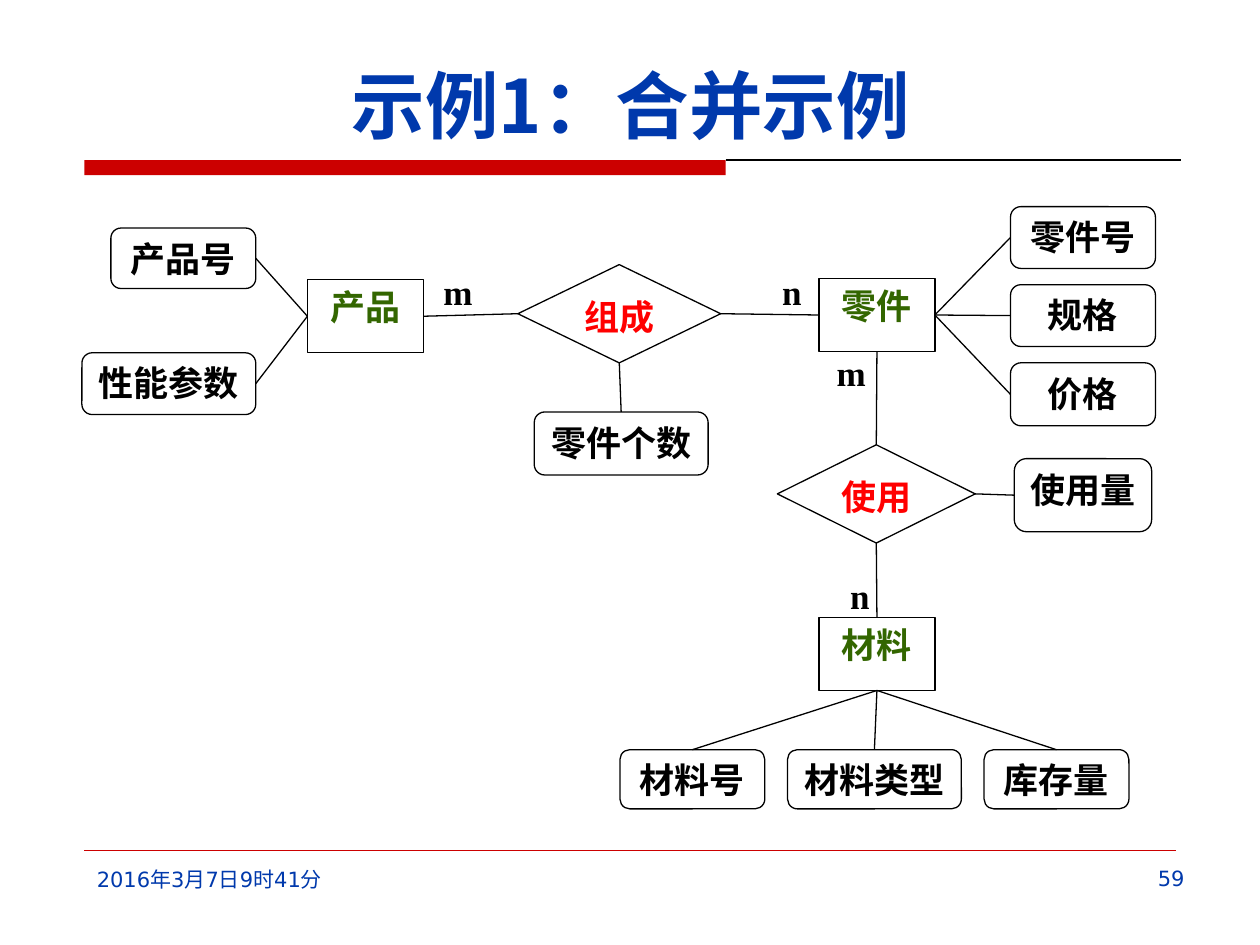
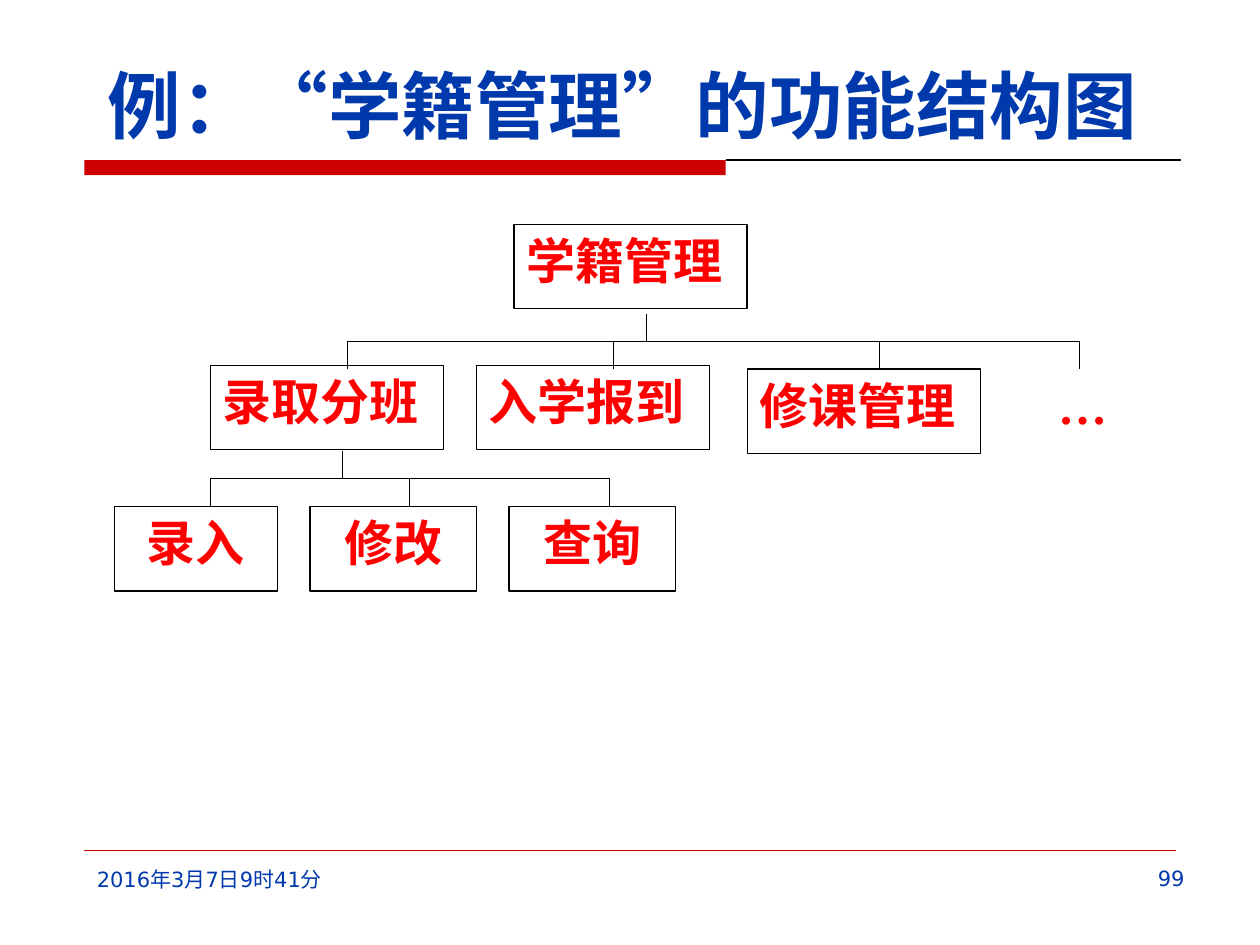
from lxml import etree
from pptx import Presentation, util as u
from pptx.dml.color import RGBColor
from pptx.enum import shapes, text
from pptx.oxml.ns import qn

COLORS = {"blue": "0039AC", "red": "CC0000", "bright": "FF0000",
          "green": "336600", "black": "000000", "white": "FFFFFF"}
CJK = "Noto Sans CJK SC"
CENTER, LEFT, RIGHT = text.PP_ALIGN.CENTER, text.PP_ALIGN.LEFT, text.PP_ALIGN.RIGHT
JUSTIFY = text.PP_ALIGN.JUSTIFY
KINDS = {"entity": (shapes.MSO_SHAPE.RECTANGLE, "green"),
         "attribute": (shapes.MSO_SHAPE.ROUNDED_RECTANGLE, "black"),
         "relation": (shapes.MSO_SHAPE.DIAMOND, "bright"),
         "function": (shapes.MSO_SHAPE.RECTANGLE, "bright"),
         "label": (shapes.MSO_SHAPE.RECTANGLE, "black")}
TOP, WEST, BOTTOM, EAST = range(4)


class Deck:
    """Holds the shared style and the current slide, and draws each kind of element."""

    def __init__(self):
        self.prs = Presentation()
        self.prs.slide_width, self.prs.slide_height = u.Inches(10), u.Inches(7.5)
        self.slide = None

    def color(self, name):
        return RGBColor.from_string(COLORS[name])

    def inches(self, *lengths):
        return [u.Inches(length) for length in lengths]

    def put_text(self, frame, words, size, font, color, align, bold=False,
                 anchor=text.MSO_ANCHOR.TOP):
        frame.auto_size = text.MSO_AUTO_SIZE.NONE
        frame.word_wrap = True
        frame.vertical_anchor = anchor
        paragraph = frame.paragraphs[0]
        paragraph.alignment = align
        run = paragraph.add_run()
        run.text = words
        for key, value in {"size": u.Pt(size), "name": font, "bold": bold}.items():
            setattr(run.font, key, value)
        run.font.color.rgb = self.color(color)
        props = run._r.get_or_add_rPr()
        props.set("lang", "zh-CN")
        latin = props.find(qn("a:latin"))
        east = etree.Element(qn("a:ea"), typeface=CJK)
        latin.addnext(east)

    def line(self, start, end, color="black", width=0.75):
        link = self.slide.shapes.add_connector(
            shapes.MSO_CONNECTOR.STRAIGHT, *self.inches(*start, *end))
        link.line.color.rgb = self.color(color)
        link.line.width = u.Pt(width)
        etree.SubElement(link._element.spPr, qn("a:effectLst"))
        return link

    def link(self, source, source_side, target, target_side):
        joint = self.line((0, 0), (1, 1))
        joint.begin_connect(source, source_side)
        joint.end_connect(target, target_side)

    def bracket(self, stem, bar, drops, rise=0.22):
        self.line((stem, bar - rise), (stem, bar))
        self.line((drops[0], bar), (drops[-1], bar))
        for drop in drops:
            self.line((drop, bar), (drop, bar + rise))

    def filled(self, preset, box, fill):
        shape = self.slide.shapes.add_shape(preset, *self.inches(*box))
        shape.shadow.inherit = False
        shape.fill.solid()
        shape.fill.fore_color.rgb = self.color(fill)
        shape.line.fill.background()
        return shape

    def node(self, kind, words, *box, size=20, align=CENTER, outlined=True):
        preset, color = KINDS[kind]
        shape = self.filled(preset, box, "white")
        if outlined and kind != "label":
            shape.line.color.rgb = self.color("black")
            shape.line.width = u.Pt(0.75)
        self.put_text(shape.text_frame, words, size, "Times New Roman", color, align, True)
        return shape

    def footer(self, words, box, align):
        frame = self.slide.shapes.add_textbox(*self.inches(*box)).text_frame
        self.put_text(frame, words, 12, "DejaVu Sans", "blue", align)

    def page(self, heading, number):
        self.slide = self.prs.slides.add_slide(self.prs.slide_layouts[5])
        title = self.slide.shapes.title
        places = dict(zip(("left", "top", "width", "height"),
                          self.inches(0.63, 0.33, 8.75, 0.9)))
        for key, value in places.items():
            setattr(title, key, value)
        self.put_text(title.text_frame, heading, 42, CJK, "blue", CENTER, True,
                      text.MSO_ANCHOR.BOTTOM)
        self.filled(shapes.MSO_SHAPE.RECTANGLE, (0.67, 1.27, 5.09, 0.12), "red")
        self.line((5.76, 1.27), (9.37, 1.27))
        self.line((0.67, 6.75), (9.33, 6.75), "red", 0.25)
        self.footer("2016年3月7日9时41分", (0.67, 6.83, 2.21, 0.52), LEFT)
        self.footer(number, (7.33, 6.82, 2.17, 0.52), RIGHT)


def merge_example(deck):
    deck.page("示例1：合并示例", "59")
    for words, left, top in (("m", 6.41, 2.74), ("n", 6.48, 4.51),
                             ("n", 5.94, 2.1), ("m", 3.29, 2.1)):
        deck.node("label", words, left, top, 0.69, 0.58)

    product = deck.node("entity", "产品", 2.44, 2.22, 0.92, 0.58)
    part = deck.node("entity", "零件", 6.5, 2.21, 0.92, 0.58)
    material = deck.node("entity", "材料", 6.5, 4.9, 0.92, 0.58)
    compose = deck.node("relation", "组成", 4.11, 2.1, 1.61, 0.78)
    use = deck.node("relation", "使用", 6.17, 3.53, 1.57, 0.78)

    attributes = (
        (product, WEST, EAST, (("产品号", 0.88, 1.81, 1.15, 0.48),
                               ("性能参数", 0.65, 2.8, 1.38, 0.49))),
        (part, EAST, WEST, (("零件号", 8.02, 1.64, 1.15, 0.49),
                            ("规格", 8.02, 2.26, 1.15, 0.49),
                            ("价格", 8.02, 2.88, 1.15, 0.5))),
        (compose, BOTTOM, TOP, (("零件个数", 4.24, 3.27, 1.38, 0.5),)),
        (use, EAST, WEST, (("使用量", 8.05, 3.64, 1.09, 0.58),)),
        (material, BOTTOM, TOP, (("材料号", 4.92, 5.95, 1.15, 0.47),
                                 ("材料类型", 6.25, 5.95, 1.38, 0.47),
                                 ("库存量", 7.81, 5.95, 1.15, 0.47))))
    for owner, owner_side, side, details in attributes:
        for detail in details:
            deck.link(owner, owner_side, deck.node("attribute", *detail), side)

    deck.link(compose, WEST, product, EAST)
    deck.link(part, WEST, compose, EAST)
    deck.link(part, BOTTOM, use, TOP)
    deck.link(use, BOTTOM, material, TOP)


def function_tree(deck):
    deck.page("例：“学籍管理”的功能结构图 ", "99")
    for words, left, top in (("学籍管理", 4.08, 1.78), ("录取分班", 1.67, 2.9),
                             ("入学报到", 3.78, 2.9), ("修课管理", 5.93, 2.93)):
        deck.node("function", words, left, top, 1.85, 0.67, size=28, align=JUSTIFY)
    deck.node("function", "…", 8.3, 2.93, 0.79, 0.67, size=28, align=JUSTIFY,
              outlined=False)
    for words, left, width in (("录入", 0.91, 1.29), ("修改", 2.46, 1.32),
                               ("查询", 4.04, 1.32)):
        deck.node("function", words, left, 4.02, width, 0.67, size=28)
    deck.bracket(5.13, 2.71, (2.76, 4.87, 6.98, 8.57))
    deck.bracket(2.72, 3.8, (1.67, 3.25, 4.84))


def main():
    deck = Deck()
    merge_example(deck)
    function_tree(deck)
    deck.prs.save("out.pptx")


if __name__ == "__main__":
    main()
